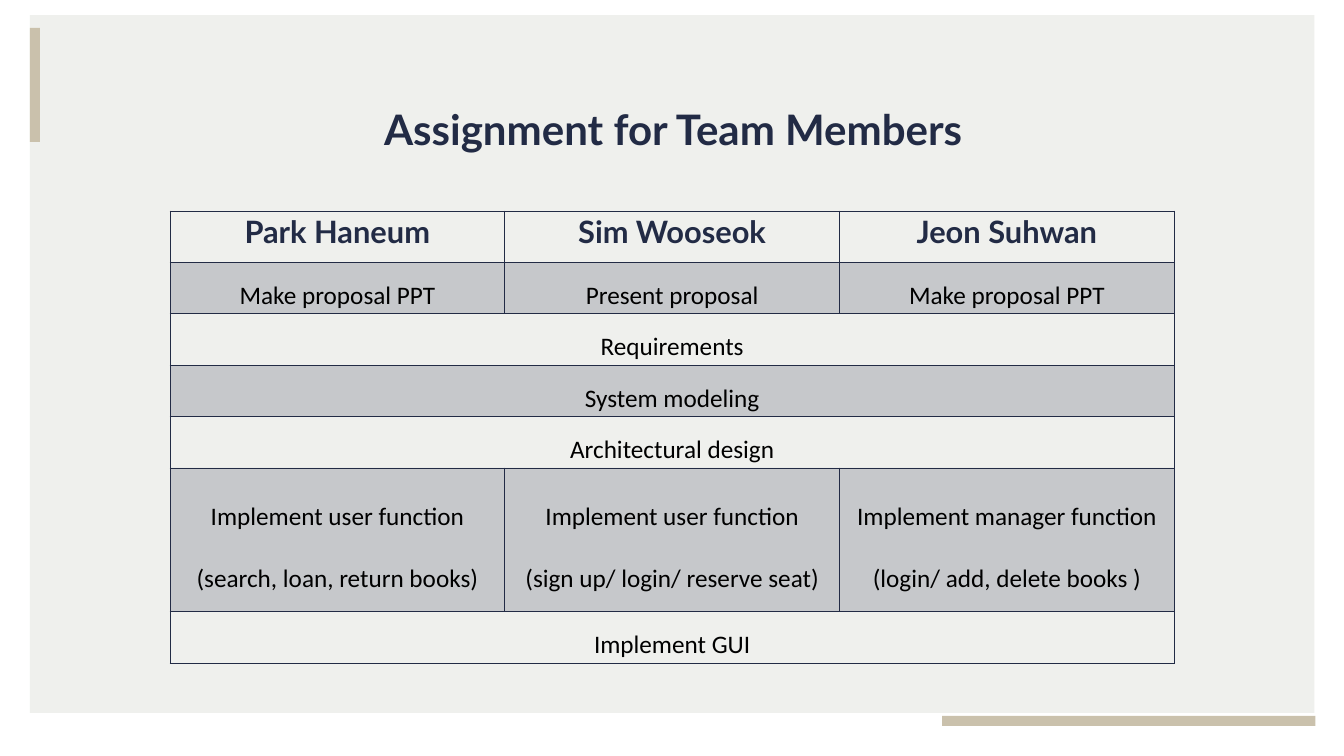
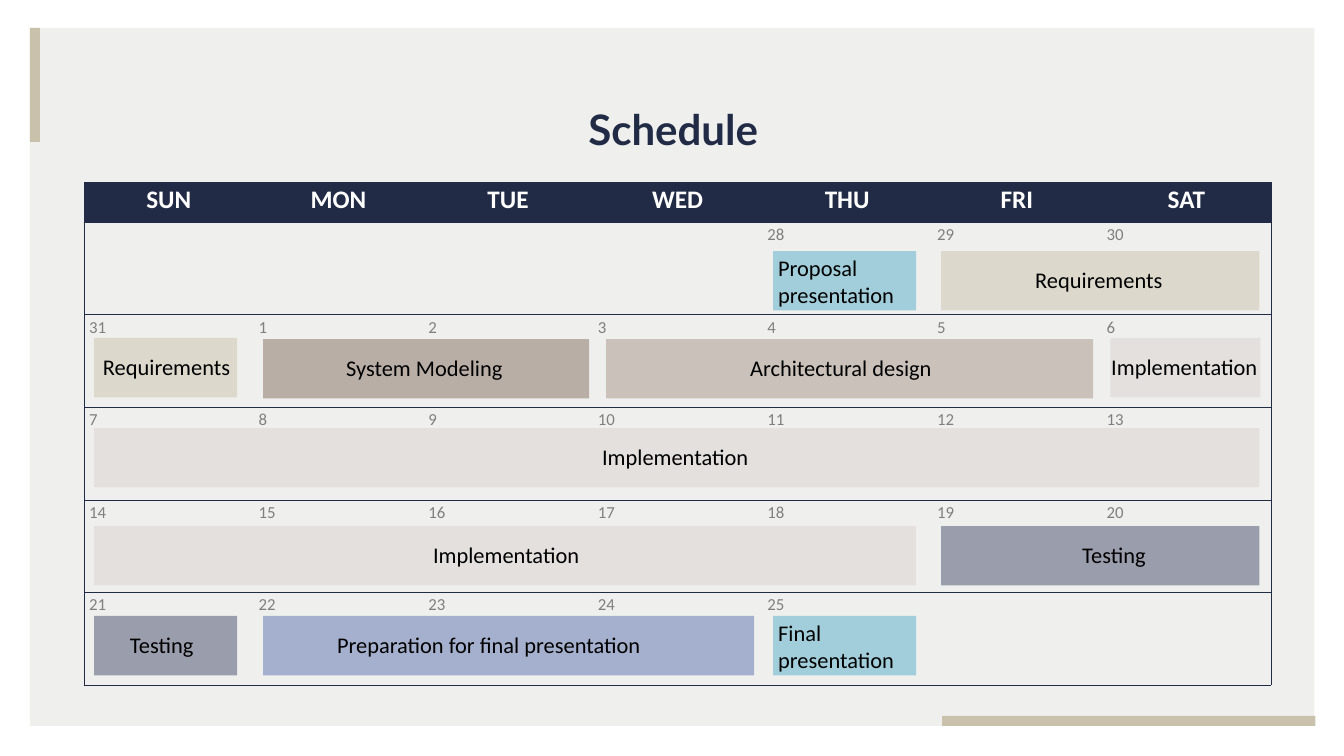
from dataclasses import dataclass
from itertools import chain
from lxml import etree
from pptx import Presentation
from pptx import util as u
from pptx.dml.color import RGBColor
from pptx.enum import shapes, text
from pptx.oxml.ns import qn


@dataclass(frozen=True)
class Theme:
    navy: str = "222B45"
    panel: str = "EFF0ED"
    sand: str = "CAC1AC"
    teal: str = "54AEC9"
    brown: str = "826D61"
    taupe: str = "A69388"
    blue: str = "5B71AE"
    slate: str = "464C6D"
    stone: str = "D9D1CE"
    gray: str = "7F7F7F"
    white: str = "FFFFFF"
    black: str = "000000"
    heading_font: str = "Lato"
    body_font: str = "Calibri"
    title_size: int = 60
    name_size: int = 44
    body_size: int = 36
    event_size: int = 32
    date_size: int = 24


theme = Theme()
PIXELS_PER_INCH = 50.4
SIDES = ("L", "R", "T", "B")
CENTER = text.PP_ALIGN.CENTER
LEFT = text.PP_ALIGN.LEFT


def px(length):
    return u.Emu(round(length * 914400 / PIXELS_PER_INCH))


def place(box):
    return [px(length) for length in box]


def style(name, size, color, bold=False):
    return {"name": name, "size": u.Pt(size), "bold": bold, "color": color}


TITLE = style(theme.heading_font, theme.title_size, theme.navy, True)
NAME = style(theme.heading_font, theme.name_size, theme.navy, True)
BODY = style(theme.body_font, theme.body_size, theme.black)
WEEKDAY = style(theme.body_font, theme.body_size, theme.white, True)
DATE = style(theme.body_font, theme.date_size, theme.gray)
EVENT = style(theme.body_font, theme.event_size, theme.black)


def write(frame, lines, font, align=LEFT, spacing=1.0):
    frame.text = lines
    for paragraph in frame.paragraphs:
        paragraph.alignment = align
        paragraph.line_spacing = spacing
        for run in paragraph.runs:
            for key, value in font.items():
                if key == "color":
                    run.font.color.rgb = RGBColor.from_string(value)
                else:
                    setattr(run.font, key, value)


def paint(fill, properties, color, opacity=100):
    fill.solid()
    fill.fore_color.rgb = RGBColor.from_string(color)
    if opacity < 100:
        tone = properties.find(qn("a:solidFill") + "/" + qn("a:srgbClr"))
        etree.SubElement(tone, qn("a:alpha"), val=str(opacity * 1000))


def add_block(slide, box, color, opacity=100):
    shape = slide.shapes.add_shape(shapes.MSO_SHAPE.RECTANGLE, *place(box))
    shape.shadow.inherit = False
    shape.line.fill.background()
    paint(shape.fill, shape._element.spPr, color, opacity)
    return shape


def set_borders(cell, widths):
    properties = cell._tc.get_or_add_tcPr()
    for index, side in enumerate(SIDES):
        width = widths.get(side, 0)
        line = etree.Element(qn("a:ln" + side), w=str(u.Pt(width)))
        if width:
            solid = etree.SubElement(line, qn("a:solidFill"))
            etree.SubElement(solid, qn("a:srgbClr"), val=theme.navy)
        else:
            etree.SubElement(line, qn("a:noFill"))
        properties.insert(index, line)


def add_plain_table(slide, box, heights, columns):
    table = slide.shapes.add_table(len(heights), columns, *place(box)).table
    table.first_row = table.horz_banding = False
    for row, height in zip(table.rows, heights):
        row.height = px(height)
    for cell in table.iter_cells():
        cell.fill.background()
    return table


def add_page(presentation, title, panel_top):
    slide = presentation.slides.add_slide(presentation.slide_layouts[5])
    add_block(slide, (30, panel_top, 1284, 698), theme.panel)
    heading = slide.shapes.title
    slide.shapes._spTree.append(heading._element)
    heading.left, heading.top, heading.width, heading.height = place((228, 101, 890, 56))
    frame = heading.text_frame
    frame.word_wrap = True
    frame.auto_size = text.MSO_AUTO_SIZE.NONE
    frame.vertical_anchor = text.MSO_ANCHOR.MIDDLE
    write(frame, title, TITLE, CENTER)
    for bar in ((30, 28, 10, 114), (942, 716, 373, 10)):
        add_block(slide, bar, theme.sand)
    return slide


def add_assignments(slide, box, members, tasks):
    single = 51.4
    tall = box[3] - single * len(tasks)
    heights = [single] + [tall if "\n" in task[0] else single for task in tasks]
    table = add_plain_table(slide, box, heights, len(members))
    for column, member in enumerate(members):
        write(table.cell(0, column).text_frame, member, NAME, CENTER)
    for row, task in enumerate(tasks, 1):
        if len(task) == 1:
            table.cell(row, 0).merge(table.cell(row, len(members) - 1))
        for column, label in enumerate(task):
            spacing = 2.0 if "\n" in label else 1.5
            write(table.cell(row, column).text_frame, label, BODY, CENTER, spacing)
    for row in range(len(heights)):
        for column in range(len(members)):
            cell = table.cell(row, column)
            if row % 2:
                paint(cell.fill, cell._tc.tcPr, theme.navy, 20)
            widths = dict.fromkeys(SIDES, 1)
            if row == 0:
                widths["B"] = 2
            elif row == 1:
                widths["T"] = 2
            set_borders(cell, widths)


def add_calendar(slide, box, weekdays, first_column, days):
    header, weeks, columns = 40, 5, len(weekdays)
    heights = [header] + [(box[3] - header) / weeks] * weeks
    table = add_plain_table(slide, box, heights, columns)
    for column, weekday in enumerate(weekdays):
        cell = table.cell(0, column)
        paint(cell.fill, cell._tc.tcPr, theme.navy)
        write(cell.text_frame, weekday, WEEKDAY, CENTER)
    for index, day in enumerate(days, first_column):
        week, column = divmod(index, columns)
        write(table.cell(week + 1, column).text_frame, str(day), DATE)
    for row in range(weeks + 1):
        for column in range(columns):
            widths = {"T": 0.5, "B": 0.5}
            if column == 0:
                widths["L"] = 0.5
            if column == columns - 1:
                widths["R"] = 0.5
            set_borders(table.cell(row, column), widths)


def add_event(slide, box, label, color, label_offset, label_width):
    bar = add_block(slide, box, color, 50)
    if label_offset is None:
        frame = bar.text_frame
        frame.word_wrap = True
        frame.vertical_anchor = text.MSO_ANCHOR.MIDDLE
    else:
        label_box = (box[0] + label_offset, box[1] + 13, label_width, 32)
        frame = slide.shapes.add_textbox(*place(label_box)).text_frame
        frame.word_wrap = False
    write(frame, label, EVENT)


def add_events(slide, box, events):
    for label, color, left, top, width, label_offset, label_width in events:
        event_box = (box[0] + left, box[1] + top, width, 59.5)
        add_event(slide, event_box, label, color, label_offset, label_width)


MEMBERS = ("Park Haneum", "Sim Wooseok", "Jeon Suhwan")
TASKS = (
    ("Make proposal PPT", "Present proposal", "Make proposal PPT"),
    ("Requirements",),
    ("System modeling",),
    ("Architectural design",),
    (
        "Implement user function\n(search, loan, return books)",
        "Implement user function\n(sign up/ login/ reserve seat)",
        "Implement manager function\n(login/ add, delete books )",
    ),
    ("Implement GUI",),
)
WEEKDAYS = ("SUN", "MON", "TUE", "WED", "THU", "FRI", "SAT")
EVENTS = (
    ("Proposal presentation", theme.teal, 689, 69, 143, None, 0),
    ("Requirements", theme.sand, 857, 69, 318, 89, 141),
    ("Requirements", theme.sand, 10, 156, 143, 4, 142),
    ("System Modeling", theme.brown, 179, 157, 326, 78, 175),
    ("Architectural design", theme.taupe, 522, 157, 487, 139, 199),
    ("Implementation", theme.stone, 1026, 156, 150, -4, 160),
    ("Implementation", theme.stone, 10, 246, 1165, 503, 160),
    ("Implementation", theme.stone, 10, 344, 822, 334, 160),
    ("Testing", theme.slate, 857, 344, 318, 136, 78),
    ("Testing", theme.slate, 10, 434, 143, 31, 75),
    ("Preparation for final presentation", theme.blue, 179, 434, 491, 69, 328),
    ("Final presentation", theme.teal, 689, 434, 143, None, 0),
)

presentation = Presentation()
presentation.slide_width = u.Inches(26.66)
presentation.slide_height = u.Inches(15)

assignment_slide = add_page(presentation, "Assignment for Team Members", 15)
add_assignments(assignment_slide, (170, 211, 1004, 452), MEMBERS, TASKS)

schedule_slide = add_page(presentation, "Schedule", 28)
calendar_box = (84, 182, 1187, 503)
add_calendar(schedule_slide, calendar_box, WEEKDAYS, 4, chain(range(28, 32), range(1, 26)))
add_events(schedule_slide, calendar_box, EVENTS)

presentation.save("out.pptx")
